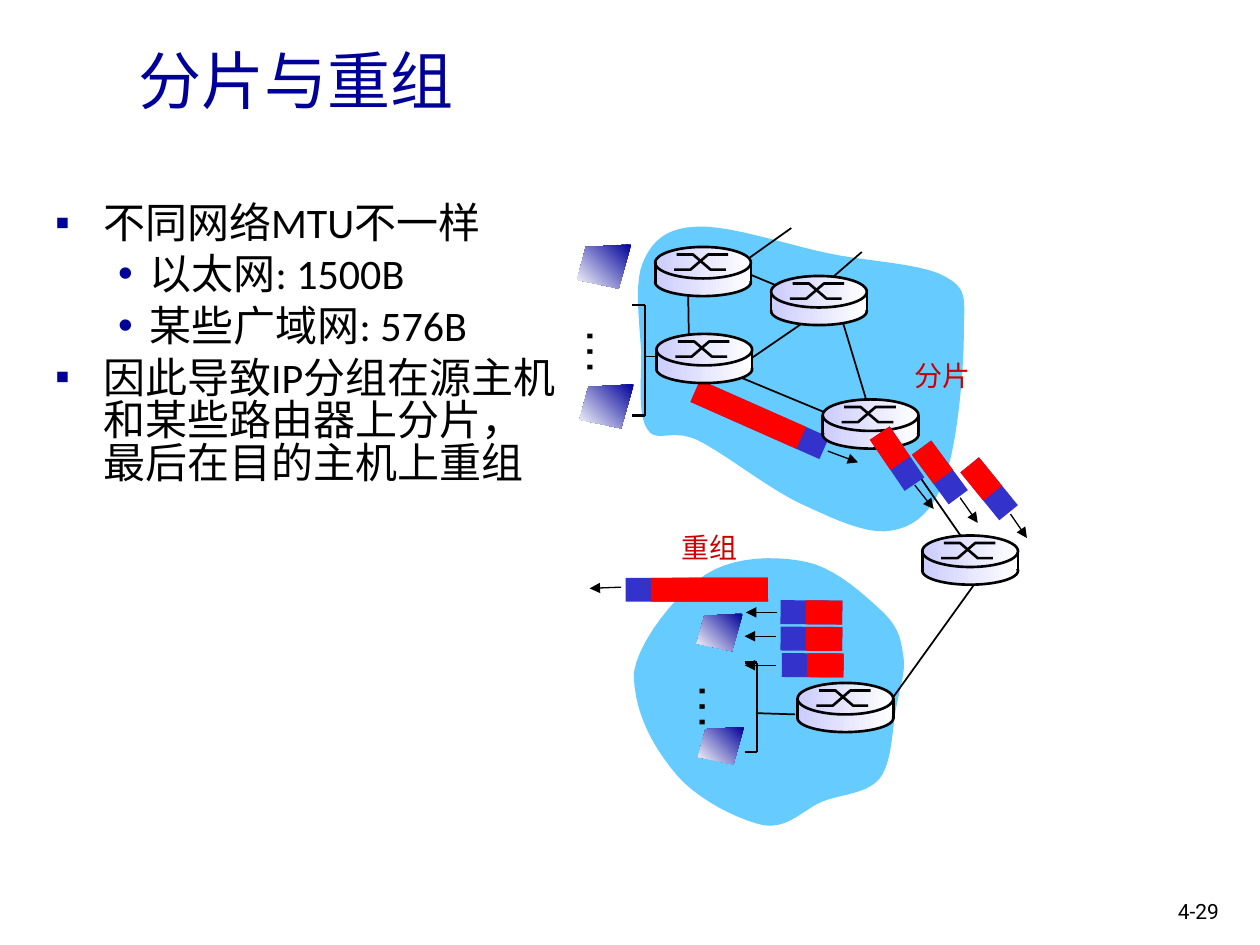
from math import cos, radians, sin

from lxml.etree import SubElement
from pptx import Presentation
from pptx.dml.color import RGBColor
from pptx.enum.shapes import MSO_CONNECTOR as Connector, MSO_SHAPE as Preset
from pptx.enum.text import MSO_ANCHOR as Anchor, PP_ALIGN as Align
from pptx.oxml.ns import qn
from pptx.util import Cm, Pt


def length(inches):
    return Cm(inches * 2.54)


def color(value):
    return RGBColor.from_string(value)


def curve_points(start, curves, steps=10):
    """Points along a chain of cubic curves (control, control, end)."""
    points = [start]
    for first, second, end in curves:
        origin = points[-1]
        for step in range(1, steps + 1):
            t = step / steps
            weights = ((1 - t) ** 3, 3 * t * (1 - t) ** 2, 3 * t * t * (1 - t), t ** 3)
            corners = (origin, first, second, end)
            points.append(tuple(sum(w * corner[axis] for w, corner in zip(weights, corners))
                                for axis in (0, 1)))
    return points


class NetworkSlide:
    BLACK, NAVY, RED_TEXT = "000000", "000099", "CC0000"
    CLOUD, HEADER, DATA = "66CCFF", "3333CC", "FF0000"
    ROUTER = ("CCCCFF", "FFFFFF", 0)
    SCREEN = ("000099", "FFFFFF", 225)

    def __init__(self, presentation):
        self.slide = presentation.slides.add_slide(presentation.slide_layouts[5])
        self.shapes = self.slide.shapes

    def format(self, paragraph, size, font, text_color):
        paragraph.font.size = Pt(size)
        paragraph.font.name = font
        paragraph.font.color.rgb = color(text_color)

    def paint(self, shape, fill=None, width=None):
        shape.shadow.inherit = False
        if fill is None:
            shape.fill.background()
        elif isinstance(fill, str):
            shape.fill.solid()
            shape.fill.fore_color.rgb = color(fill)
        else:
            shape.fill.gradient()
            shape.fill.gradient_angle = fill[2]
            for stop, value in zip(shape.fill.gradient_stops, fill):
                stop.color.rgb = color(value)
        if width:
            shape.line.color.rgb = color(self.BLACK)
            shape.line.width = Pt(width)
        else:
            shape.line.fill.background()

    def title(self, text, box):
        title = self.shapes.title
        title.left, title.top, title.width, title.height = map(length, box)
        title.text_frame.text = text
        title.text_frame.vertical_anchor = Anchor.MIDDLE
        paragraph = title.text_frame.paragraphs[0]
        paragraph.alignment = Align.LEFT
        self.format(paragraph, 36, "Noto Sans CJK SC", self.NAVY)

    def text(self, text, box, size, font="Arial", text_color=BLACK, wrap=False, rotation=0):
        shape = self.shapes.add_textbox(*map(length, box))
        shape.rotation = rotation
        shape.text_frame.word_wrap = wrap
        shape.text_frame.text = text
        self.format(shape.text_frame.paragraphs[0], size, font, text_color)

    def bullets(self, items, box):
        frame = self.shapes.add_textbox(*map(length, box)).text_frame
        frame.word_wrap = True
        for index, (level, text) in enumerate(items):
            paragraph = frame.add_paragraph() if index else frame.paragraphs[0]
            paragraph.text = text
            paragraph.level = level
            paragraph.line_spacing = 0.85
            paragraph.space_before = Pt(5 if index else 0)
            margin, hanging, mark = ((0.38, 0.38, "▪"), (0.75, 0.25, "•"))[level]
            properties = paragraph._p.get_or_add_pPr()
            properties.set("marL", str(length(margin)))
            properties.set("indent", str(-length(hanging)))
            bullet_color = SubElement(properties, qn("a:buClr"))
            SubElement(bullet_color, qn("a:srgbClr"), val=self.NAVY)
            SubElement(properties, qn("a:buFont"), typeface="Arial")
            SubElement(properties, qn("a:buChar"), char=mark)
            self.format(paragraph, 24, "Calibri", self.BLACK)

    def line(self, x1, y1, x2, y2, width=1.0, arrow=False):
        connector = self.shapes.add_connector(Connector.STRAIGHT, *map(length, (x1, y1, x2, y2)))
        connector.line.color.rgb = color(self.BLACK)
        connector.line.width = Pt(width)
        properties = connector._element.spPr
        if arrow:
            SubElement(properties.find(qn("a:ln")), qn("a:tailEnd"), type="triangle")
        SubElement(properties, qn("a:effectLst"))

    def arrow(self, *ends):
        self.line(*ends, width=0.75, arrow=True)

    def preset(self, kind, box, fill, width=None, rotation=0):
        shape = self.shapes.add_shape(kind, *map(length, box))
        shape.rotation = rotation
        self.paint(shape, fill, width)

    def outline(self, points, fill=None, width=None):
        points = [(length(x), length(y)) for x, y in points]
        builder = self.shapes.build_freeform(*points[0])
        builder.add_line_segments(points[1:], close=fill is not None)
        self.paint(builder.convert_to_shape(), fill, width)

    def router(self, x, y):
        self.preset(Preset.OVAL, (x, y + 0.17, 0.76, 0.22), self.ROUTER, 1.5)
        self.preset(Preset.RECTANGLE, (x, y + 0.14, 0.76, 0.13), self.ROUTER)
        self.preset(Preset.OVAL, (x, y, 0.76, 0.25), self.ROUTER, 1.5)
        for start, first, last in ((0.15, 0.18, 0.06), (0.17, 0.06, 0.18)):
            self.outline([(x + start, y + first), (x + start + 0.13, y + first),
                          (x + start + 0.27, y + last), (x + 0.73 - start, y + last)], width=1.5)
        for side in (x, x + 0.76):
            self.line(side, y + 0.12, side, y + 0.29, 1.5)

    def packet(self, x, y, size, angle):
        """A packet centred on x, y: header in front, data behind."""
        head, thick = 0.2, 0.19
        data_x = x - head / 2 * cos(radians(angle))
        data_y = y - head / 2 * sin(radians(angle))
        for cx, cy, long, fill in ((x, y, size, self.HEADER),
                                   (data_x, data_y, size - head, self.DATA)):
            self.preset(Preset.RECTANGLE, (cx - long / 2, cy - thick / 2, long, thick),
                        fill, rotation=angle)

    def hosts(self, x, top, bottom, screens, scale, dots):
        """A bracket joining two hosts, with dots for those between."""
        for y in (top, bottom):
            self.line(x, y, x + 0.1, y, 1.5)
        self.line(x + 0.1, top, x + 0.1, bottom)
        corners = ((0.43, 0), (0.07, 0.02), (0, 0.28), (0.33, 0.35))
        for left, upper in screens:
            self.outline([(left + scale * dx, upper + scale * dy) for dx, dy in corners],
                         self.SCREEN)
        self.text("…", (*dots, 0.59, 0.57), 28, rotation=90)


def main():
    presentation = Presentation()
    presentation.slide_width, presentation.slide_height = length(10), length(7.5)
    page = NetworkSlide(presentation)

    # Title and bullets
    page.title("分片与重组", (1, 0.12, 8.5, 1.02))
    page.bullets([(0, "不同网络MTU不一样"), (1, "以太网: 1500B"), (1, "某些广域网: 576B"),
                  (0, "因此导致IP分组在源主机和某些路由器上分片，最后在目的主机上重组")],
                 (0.34, 1.57, 4.17, 5.57))

    # Network clouds
    page.outline(curve_points((5.52, 1.8), [
        ((5.28, 1.81), (5.17, 1.92), (5.1, 2.09)), ((5.03, 2.26), (5.08, 2.59), (5.09, 2.81)),
        ((5.09, 3.03), (5.06, 3.3), (5.14, 3.41)), ((5.21, 3.52), (5.33, 3.4), (5.53, 3.49)),
        ((5.74, 3.59), (6.1, 3.88), (6.36, 4)), ((6.62, 4.12), (6.89, 4.25), (7.08, 4.21)),
        ((7.27, 4.18), (7.41, 4.05), (7.5, 3.79)), ((7.6, 3.53), (7.65, 2.92), (7.65, 2.66)),
        ((7.65, 2.39), (7.69, 2.3), (7.51, 2.2)), ((7.33, 2.09), (6.9, 2.08), (6.57, 2.01)),
        ((6.24, 1.94), (5.77, 1.78), (5.52, 1.8))]), page.CLOUD)
    page.outline(curve_points((5.03, 5.34), [
        ((5.07, 5.08), (5.37, 4.71), (5.6, 4.56)), ((5.83, 4.41), (6.17, 4.41), (6.4, 4.46)),
        ((6.64, 4.51), (6.88, 4.74), (7.01, 4.86)), ((7.14, 4.99), (7.15, 5.08), (7.17, 5.21)),
        ((7.19, 5.34), (7.14, 5.46), (7.11, 5.63)), ((7.08, 5.79), (7.08, 6.06), (6.98, 6.18)),
        ((6.88, 6.3), (6.69, 6.3), (6.53, 6.36)), ((6.38, 6.42), (6.26, 6.58), (6.06, 6.55)),
        ((5.87, 6.51), (5.54, 6.35), (5.37, 6.15)), ((5.2, 5.95), (5.03, 5.67), (5.03, 5.34))]),
        page.CLOUD)

    # Links
    for link in ((5.11, 2.83, 5.25, 2.83), (5.74, 2.09, 6.46, 2.39), (6.66, 2.46, 6.88, 3.19),
                 (5.46, 2.21, 5.47, 2.85), (5.72, 2.93, 6.78, 3.37), (7.63, 4.26, 7.11, 3.51),
                 (6.58, 2.42, 5.75, 2.99), (6.28, 1.81, 5.76, 2.18), (6.84, 2, 6.54, 2.26),
                 (7.76, 4.6, 7.07, 5.56), (6, 5.66, 6.31, 5.67)):
        page.line(*link)

    # Large packet before fragmentation, hosts and routers
    page.packet(6.03, 3.33, 1.12, 23.9)
    page.hosts(5.02, 2.42, 3.3, [(4.58, 1.94), (4.6, 3.05)], 1, (4.52, 2.51))
    page.hosts(5.91, 5.26, 5.97, [(5.53, 4.87), (5.54, 5.77)], 0.85, (5.41, 5.33))
    for place in ((6.53, 3.17), (5.2, 1.96), (5.21, 2.65), (6.12, 2.19), (7.32, 4.25), (6.33, 5.42)):
        page.router(*place)

    # Fragments on the way and at the destination, then the reassembled packet
    for x, y, angle in ((7.12, 3.64, 55.8), (7.46, 3.75, 53.6), (7.85, 3.88, 50.9),
                        (6.44, 4.86, 180.4), (6.44, 5.07, 180.4), (6.45, 5.28, 180.4)):
        page.packet(x, y, 0.49, angle)
    page.packet(5.53, 4.68, 1.13, 179.9)

    # Directions of travel
    for ends in ((6.57, 3.58, 6.81, 3.67), (7.26, 3.85, 7.41, 4.04), (7.62, 3.95, 7.76, 4.15),
                 (8.02, 4.08, 8.15, 4.27), (6.17, 4.86, 5.92, 4.86), (6.16, 5.05, 5.91, 5.05),
                 (6.16, 5.28, 5.91, 5.28), (4.93, 4.66, 4.68, 4.67)):
        page.arrow(*ends)

    # Labels and page number
    page.text("分片", (7.16, 2.8, 0.71, 0.37), 16, text_color=page.RED_TEXT)
    page.text("重组", (5.31, 4.16, 0.65, 0.37), 16, text_color=page.RED_TEXT)
    page.text("4-29", (9.25, 7.08, 0.61, 0.3), 12, "Roboto", wrap=True)
    presentation.save("out.pptx")


if __name__ == "__main__":
    main()
